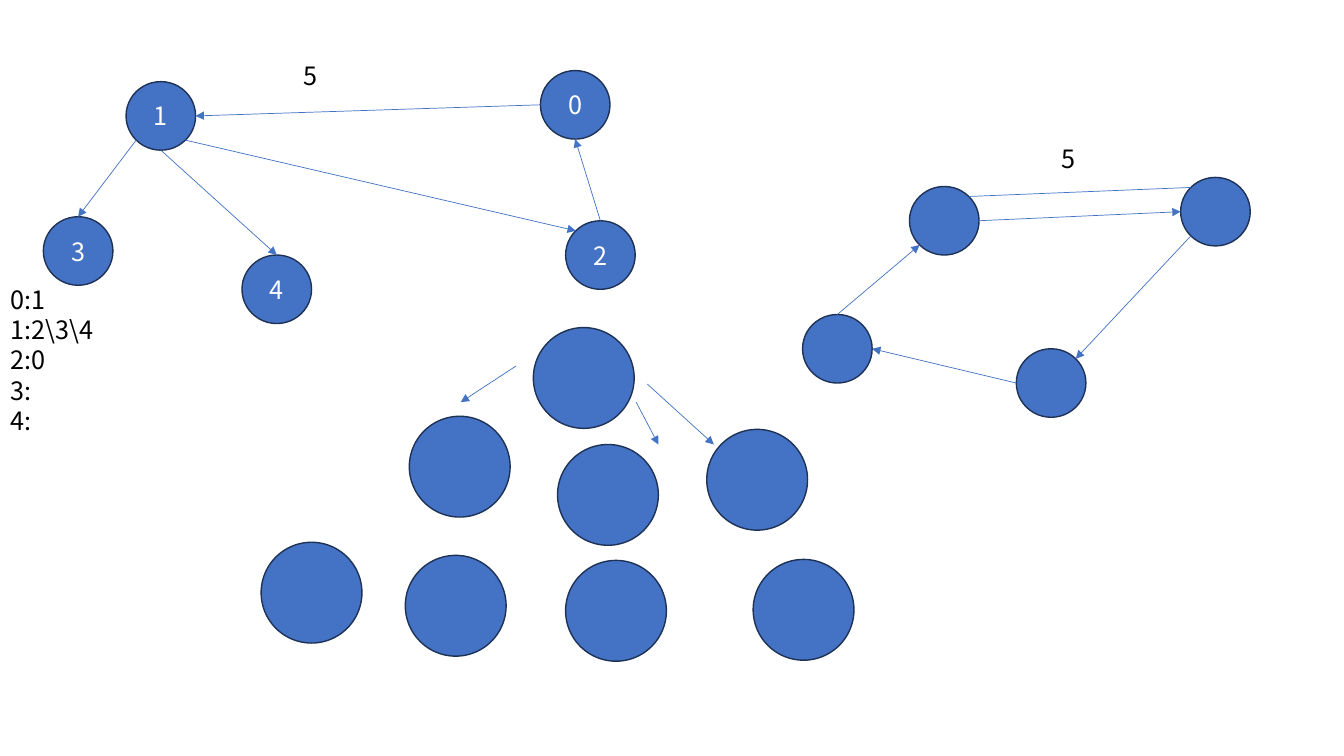
import math

from lxml import etree
from pptx import Presentation
from pptx.dml.color import RGBColor
from pptx.enum.shapes import MSO_CONNECTOR, MSO_SHAPE
from pptx.enum.text import MSO_ANCHOR, PP_ALIGN
from pptx.oxml.ns import qn
from pptx.util import Inches, Pt

STRAIGHT = MSO_CONNECTOR.STRAIGHT
OVAL = MSO_SHAPE.OVAL
MIDDLE = MSO_ANCHOR.MIDDLE
CENTER, LEFT = PP_ALIGN.CENTER, PP_ALIGN.LEFT

BLUE = RGBColor(0x44, 0x72, 0xC4)
NAVY = RGBColor(0x1E, 0x32, 0x56)
WHITE = RGBColor(0xFF, 0xFF, 0xFF)
BLACK = RGBColor(0x00, 0x00, 0x00)
FONT = "Noto Sans CJK SC"
NODE_W, NODE_H = 0.69, 0.68
TREE_SIZE = 1

# Angles of the points where edges meet a node
ANGLES = {"right": 0, "bottom right": 45, "bottom": 90, "bottom left": 135,
          "left": 180, "top left": 225, "top": 270, "top right": 315}

prs = Presentation()
prs.slide_width, prs.slide_height = Inches(13.33), Inches(7.5)
slide = prs.slides.add_slide(prs.slide_layouts[6])


def write(frame, lines, color, align):
    frame.word_wrap = True
    for index, line in enumerate(lines):
        paragraph = frame.paragraphs[0] if index == 0 else frame.add_paragraph()
        paragraph.alignment = align
        run = paragraph.add_run()
        run.text = line
        run.font.name, run.font.size = FONT, Pt(18)
        run.font.color.rgb = color
        east_asian = etree.SubElement(run.font._element, qn("a:ea"))
        east_asian.set("typeface", FONT)


def rim(node, side):
    left, top = nodes[node]
    angle = math.radians(ANGLES[side])
    return (left + NODE_W / 2 * (1 + math.cos(angle)),
            top + NODE_H / 2 * (1 + math.sin(angle)))


# Node positions: numbered graph, cycle graph, tree levels
nodes = {
    "0": (5.36, 0.7), "1": (1.25, 0.81), "2": (5.61, 2.19),
    "3": (0.43, 2.15), "4": (2.4, 2.53),
    "cycle start": (9.02, 1.85), "cycle right": (11.71, 1.76),
    "cycle bottom": (10.08, 3.46), "cycle left": (7.96, 3.12),
}
tree = [
    (5.29, 3.25),
    (4.06, 4.13), (5.53, 4.41), (7.01, 4.26),
    (2.59, 5.38), (4.02, 5.51), (5.61, 5.56), (7.47, 5.55),
]

# Circles
circles = [(name if name.isdigit() else "", left, top, NODE_W, NODE_H)
           for name, (left, top) in nodes.items()]
circles += [("", left, top, TREE_SIZE, TREE_SIZE) for left, top in tree]
for label, *box in circles:
    circle = slide.shapes.add_shape(OVAL, *map(Inches, box))
    circle.shadow.inherit = False
    circle.fill.solid()
    circle.fill.fore_color.rgb = BLUE
    circle.line.color.rgb = NAVY
    circle.line.width = Pt(1)
    if label:
        circle.text_frame.vertical_anchor = MIDDLE
        write(circle.text_frame, [label], WHITE, CENTER)

# Edges between nodes
edges = [
    ("0", "left", "1", "right"),
    ("1", "bottom right", "2", "top left"),
    ("2", "top", "0", "bottom"),
    ("1", "bottom left", "3", "top"),
    ("1", "bottom", "4", "top"),
    ("cycle start", "right", "cycle right", "left"),
    ("cycle right", "bottom left", "cycle bottom", "top right"),
    ("cycle bottom", "left", "cycle left", "right"),
    ("cycle left", "top", "cycle start", "bottom left"),
]
links = [(rim(source, leaving), rim(target, entering), True)
         for source, leaving, target, entering in edges]
links.append((rim("cycle start", "top right"), rim("cycle right", "top left"), False))

# Loose arrows below the tree root
links += [((5.12, 3.63), (4.57, 3.99), True),
          ((6.31, 3.99), (6.53, 4.41), True),
          ((6.42, 3.81), (7.08, 4.41), True)]

for start, end, has_arrow in links:
    link = slide.shapes.add_connector(STRAIGHT, *map(Inches, start + end))
    link.line.color.rgb = BLUE
    link.line.width = Pt(0.5)
    if has_arrow:
        etree.SubElement(link.line._get_or_add_ln(), qn("a:tailEnd"), type="triangle")
    etree.SubElement(link._element.spPr, qn("a:effectLst"))

# Edge weights and adjacency list
texts = [
    (["5"], 2.91, 0.55, 1.16, 0.4),
    (["5"], 10.43, 1.37, 1.16, 0.4),
    (["0:1", "1:2\\3\\4", "2:0", "3:", "4:"], 0.01, 2.77, 4.01, 1.92),
]
for lines, *box in texts:
    text_box = slide.shapes.add_textbox(*map(Inches, box))
    write(text_box.text_frame, lines, BLACK, LEFT)

prs.save("out.pptx")
